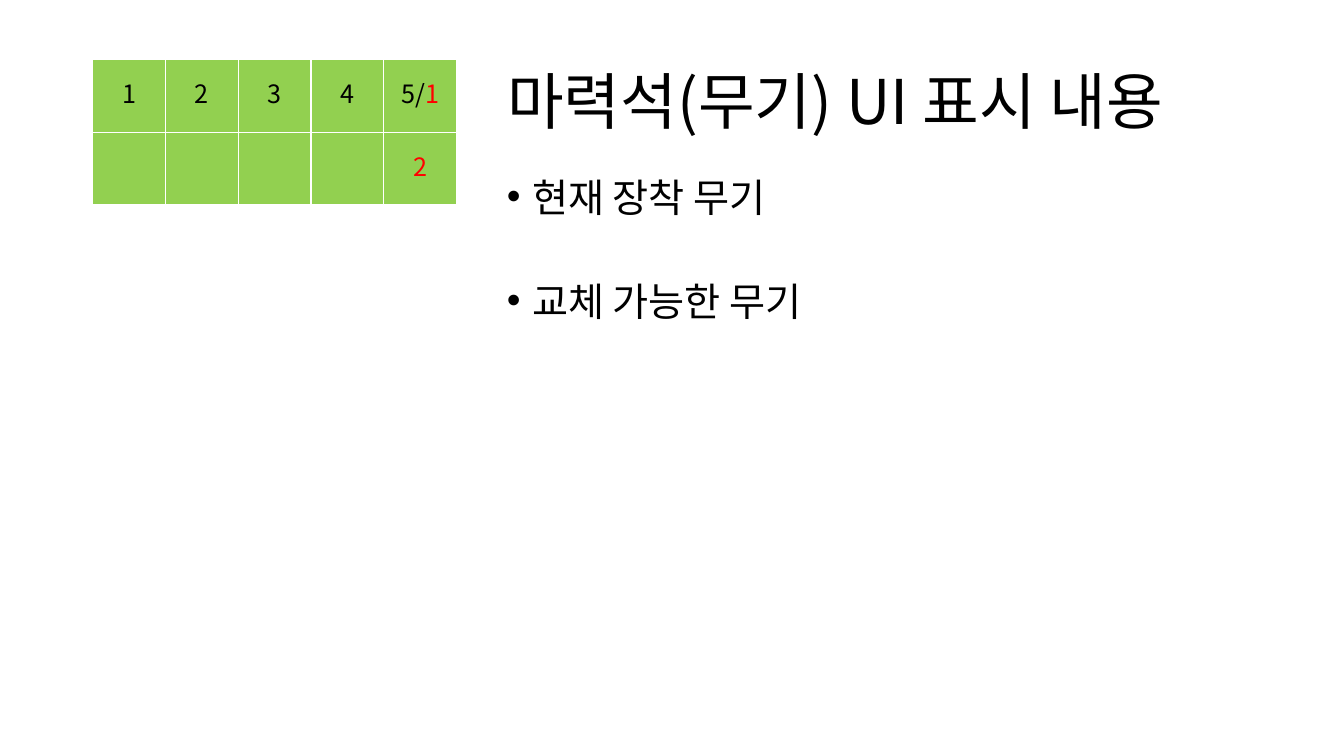
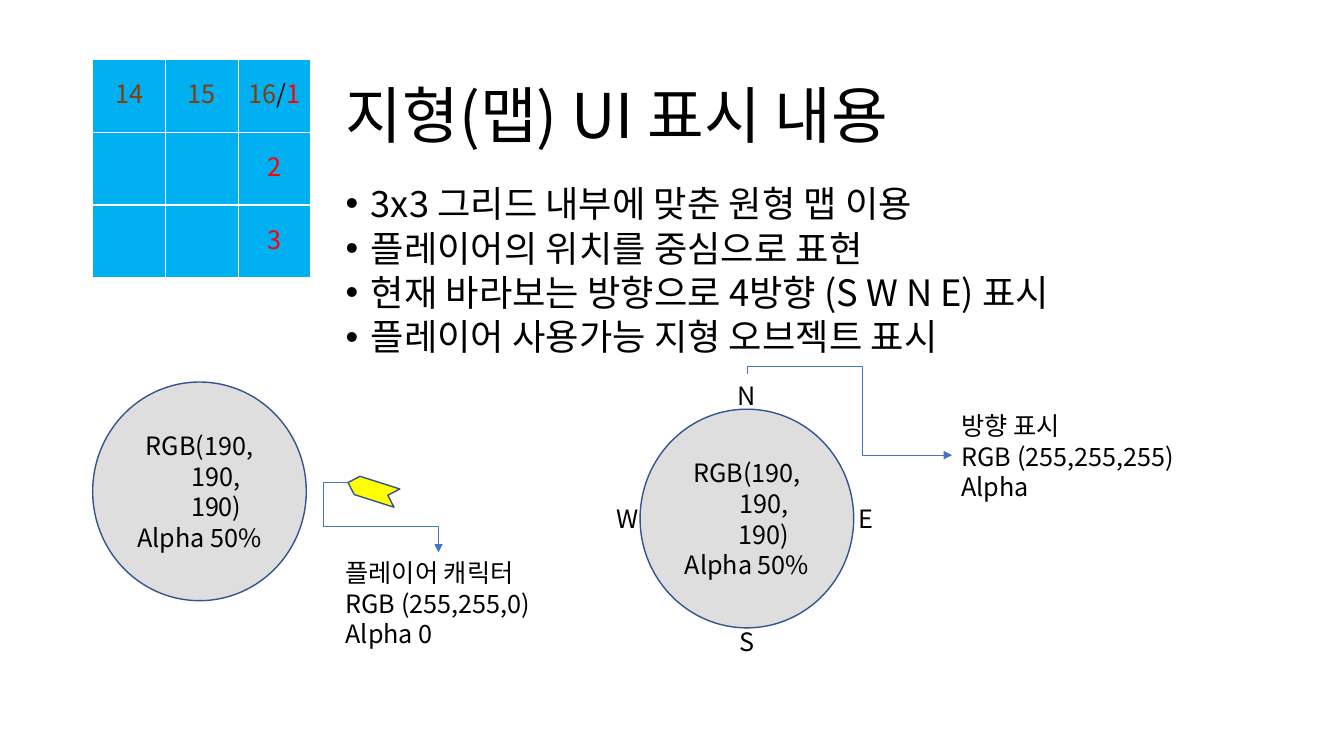
from lxml.etree import SubElement as Sub
from pptx import Presentation
from pptx.dml.color import RGBColor
from pptx.enum.shapes import MSO_CONNECTOR as LINK, MSO_SHAPE as KIND
from pptx.enum.text import MSO_ANCHOR as ANCHOR, MSO_AUTO_SIZE as AUTO, PP_ALIGN as ALIGN
from pptx.oxml.ns import qn
from pptx.util import Pt

FONT = "Noto Sans CJK KR"
BLACK, RED, BROWN = "000000", "FF0000", "843C0B"
GREEN, SKY = "92D050", "00B0F0"
GRAY, YELLOW = "BEBEBE", "FFFF00"
EDGE, ARROW = "325491", "4472C4"
CELL = 52
GRID = (66.2, 42.5)
LEAD = 21.8


def color(code):
    """Turn a hex string into a colour."""
    return RGBColor.from_string(code)


def pts(*nums):
    """Turn numbers into lengths in points."""
    return [Pt(num) for num in nums]


def style(para, size=18, lead=LEAD, align=ALIGN.LEFT, before=0):
    """Set font, line pitch and alignment of a paragraph."""
    para.alignment = align
    para.line_spacing = Pt(lead)
    para.space_before = Pt(before)
    font = para.font
    font.size, font.name = Pt(size), FONT
    font.color.rgb = color(BLACK)
    props = para._p.pPr.find(qn("a:defRPr"))
    Sub(props, qn("a:ea")).set("typeface", FONT)


def fill_text(frame, lines, **look):
    """Write one styled paragraph for each line."""
    for num, line in enumerate(lines):
        para = frame.paragraphs[0] if num == 0 else frame.add_paragraph()
        para.text = line
        style(para, **look)


def label(slide, box, lines, **look):
    """Add a wrapping text box."""
    frame = slide.shapes.add_textbox(*pts(*box)).text_frame
    frame.word_wrap = True
    fill_text(frame, lines, **look)
    return frame


def title(slide, box, text):
    """Move and format the title placeholder."""
    shape = slide.shapes.title
    shape.left, shape.top, shape.width, shape.height = pts(*box)
    frame = shape.text_frame
    frame.auto_size = AUTO.NONE
    frame.vertical_anchor = ANCHOR.MIDDLE
    fill_text(frame, [text], size=44, lead=54)


def bullets(slide, box, lines, size, lead, gap):
    """Add a bulleted list with a gap between its items."""
    frame = label(slide, box, lines, size=size, lead=lead, before=gap)
    frame.paragraphs[0].space_before = Pt(0)
    for para in frame.paragraphs:
        props = para._p.pPr
        props.set("marL", str(Pt(18)))
        props.set("indent", str(-Pt(18)))
        face = Sub(props, qn("a:buFont"))
        face.set("typeface", "Arial")
        mark = Sub(props, qn("a:buChar"))
        mark.set("char", "•")
        last = props.find(qn("a:defRPr"))
        last.addprevious(face)
        last.addprevious(mark)


def grid(slide, rows, cols, tint, texts):
    """Add a table of square cells; texts maps (row, col) to coloured runs."""
    box = (*GRID, cols * CELL, rows * CELL)
    table = slide.shapes.add_table(rows, cols, *pts(*box)).table
    table.first_row = table.horz_banding = False
    for row in range(rows):
        for col in range(cols):
            cell = table.cell(row, col)
            cell.fill.solid()
            cell.fill.fore_color.rgb = color(tint)
            cell.vertical_anchor = ANCHOR.MIDDLE
            para = cell.text_frame.paragraphs[0]
            style(para, align=ALIGN.CENTER)
            for text, ink in texts.get((row, col), []):
                run = para.add_run()
                run.text = text
                run.font.color.rgb = color(ink)


def solid(slide, kind, box, tint):
    """Add an outlined preset shape."""
    shape = slide.shapes.add_shape(kind, *pts(*box))
    shape.shadow.inherit = False
    shape.fill.solid()
    shape.fill.fore_color.rgb = color(tint)
    shape.line.color.rgb = color(EDGE)
    shape.line.width = Pt(1)
    return shape


def disc(slide, left, top):
    """Add the half-transparent round map with its colour values."""
    shape = solid(slide, KIND.OVAL, (left, top, 152.6, 156.2), GRAY)
    tint = shape._element.spPr.find(qn("a:solidFill"))[0]
    Sub(tint, qn("a:alpha")).set("val", "50000")
    frame = shape.text_frame
    frame.vertical_anchor = ANCHOR.MIDDLE
    lines = ["RGB(190,", "190,", "190)", "Alpha 50%"]
    fill_text(frame, lines, align=ALIGN.CENTER)
    for para in frame.paragraphs[1:3]:
        para._p.pPr.set("marL", str(Pt(24)))


def compass(slide, left, top):
    """Add a round map with the four directions around it."""
    disc(slide, left, top)
    wide, high = 32, 29
    mid_x, mid_y = left + 76.3, top + 78.1
    sides = {"N": (0, -88), "S": (0, 88), "E": (85.3, 0), "W": (-85.3, 0)}
    for name, (dx, dy) in sides.items():
        box = (mid_x + dx - wide / 2, mid_y + dy - high / 2, wide, high)
        label(slide, box, [name], align=ALIGN.CENTER)


def bend(slide, start, end, bends, turn=0):
    """Add an arrow with three bends, turned by some degrees."""
    link = slide.shapes.add_connector(LINK.ELBOW, *pts(*start, *end))
    link.line.color.rgb = color(ARROW)
    link.line.width = Pt(0.5)
    props = link._element.spPr
    Sub(props.find(qn("a:ln")), qn("a:tailEnd")).set("type", "triangle")
    Sub(props, qn("a:effectLst"))
    if turn:
        props.find(qn("a:xfrm")).set("rot", str(turn * 60000))
    geom = props.find(qn("a:prstGeom"))
    geom.set("prst", "bentConnector4")
    for num, share in enumerate(bends, 1):
        guide = Sub(geom.find(qn("a:avLst")), qn("a:gd"))
        guide.set("name", f"adj{num}")
        guide.set("fmla", f"val {round(share * 100000)}")


def weapon(slide):
    """Build the weapon slide."""
    texts = {(0, col): [(str(col + 1), BLACK)] for col in range(4)}
    texts[0, 4] = [("5/", BLACK), ("1", RED)]
    texts[1, 4] = [("2", RED)]
    grid(slide, 2, 5, GREEN, texts)
    title(slide, (355, 18.7, 535.7, 104.4), "마력석(무기) UI 표시 내용")
    bullets(slide, (355, 123.1, 535.7, 151.2),
            ["현재 장착 무기", "교체 가능한 무기"], 28, 30.5, 43.8)


def terrain(slide):
    """Build the map slide."""
    title(slide, (239.8, 28.8, 653.8, 104.4), "지형(맵) UI 표시 내용")
    bullets(slide, (239.8, 133.2, 653.8, 127.4), [
        "3x3 그리드 내부에 맞춘 원형 맵 이용",
        "플레이어의 위치를 중심으로 표현",
        "현재 바라보는 방향으로 4방향 (S W N E) 표시",
        "플레이어 사용가능 지형 오브젝트 표시"], 25.9, 24, 7.7)
    grid(slide, 3, 3, SKY, {
        (0, 0): [("14", BROWN)],
        (0, 1): [("15", BROWN)],
        (0, 2): [("16", BROWN), ("/", BLACK), ("1", RED)],
        (1, 2): [("2", RED)],
        (2, 2): [("3", RED)]})
    disc(slide, 66.2, 272.9)
    player = solid(slide, KIND.CHEVRON, (247.7, 343.4, 36.7, 13.7), YELLOW)
    player.rotation = 197.7
    label(slide, (239.8, 394.6, 146.9, 72.7),
          ["플레이어 캐릭터", "RGB (255,255,0)", "Alpha 0"])
    bend(slide, (249.1, 344.9), (313.2, 394.6), (-0.28, 0.63))
    compass(slide, 457.2, 292.3)
    label(slide, (679.7, 289.4, 205.2, 72.7),
          ["방향 표시", "RGB (255,255,255)", "Alpha"])
    bend(slide, (635.8, 223.2), (578.2, 369.4), (-0.1, 0.56), 270)


def main():
    """Build and save the slides."""
    deck = Presentation()
    deck.slide_width, deck.slide_height = pts(960, 540)
    for build in (weapon, terrain):
        build(deck.slides.add_slide(deck.slide_layouts[5]))
    deck.save("out.pptx")


main()
